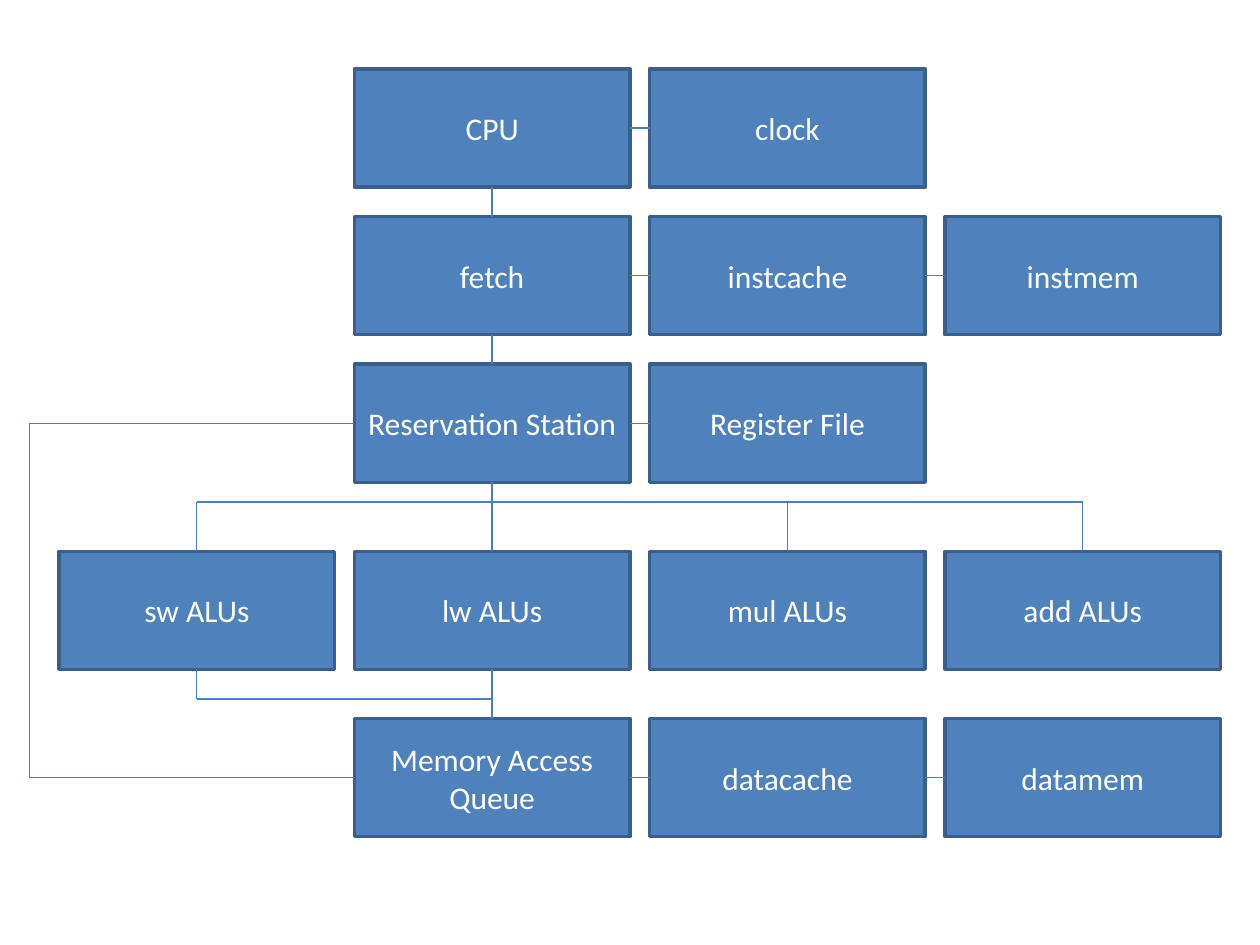
from lxml import etree
from pptx import Presentation
from pptx.dml.color import RGBColor
from pptx.enum.shapes import MSO_CONNECTOR, MSO_SHAPE
from pptx.enum.text import MSO_ANCHOR, PP_ALIGN
from pptx.oxml.ns import qn
from pptx.util import Inches, Pt

RECTANGLE = MSO_SHAPE.RECTANGLE
STRAIGHT = MSO_CONNECTOR.STRAIGHT
MIDDLE = MSO_ANCHOR.MIDDLE
CENTER = PP_ALIGN.CENTER

BLOCK_FILL = RGBColor(0x4F, 0x81, 0xBD)
BLOCK_EDGE = RGBColor(0x3A, 0x5F, 0x8C)
WIRE_COLOR = RGBColor(0x4B, 0x7E, 0xBC)
WHITE = RGBColor(0xFF, 0xFF, 0xFF)

# Each pipeline stage: top grid row, first column, units from left to right
STAGES = [
    (7, 1, ["CPU", "clock"]),
    (22, 1, ["fetch", "instcache", "instmem"]),
    (37, 1, ["Reservation Station", "Register File"]),
    (56, 0, ["sw ALUs", "lw ALUs", "mul ALUs", "add ALUs"]),
    (73, 1, ["Memory Access Queue", "datacache", "datamem"]),
]
CPU, FETCH, STATION, ALUS, QUEUE = [top for top, _, _ in STAGES]
LINKED_STAGES = (CPU, FETCH, STATION, QUEUE)

# The slide is a grid of 128 by 96 square cells
SLIDE_WIDTH, SLIDE_HEIGHT = Inches(10), Inches(7.5)
CELL = SLIDE_WIDTH / 128
LEFT, PITCH, BLOCK_W, BLOCK_H = 6, 30, 28, 12
ISSUE_BUS, MEMORY_BUS, BYPASS = 51, 71, 3

BLOCK_FONT = {"name": "Calibri", "size": Pt(18)}


def grid(*cells):
    """Turn grid cells into slide lengths."""
    return [round(cell * CELL) for cell in cells]


def block_left(column):
    """Left edge of a block column, in cells."""
    return LEFT + column * PITCH


def center(column):
    """Centre line of a block column, in cells."""
    return block_left(column) + BLOCK_W / 2


def add_wire(shapes, x1, y1, x2, y2):
    """Draw a thin straight wire between two grid points."""
    wire = shapes.add_connector(STRAIGHT, *grid(x1, y1, x2, y2))
    wire.line.color.rgb = WIRE_COLOR
    wire.line.width = Pt(0.75)
    etree.SubElement(wire._element.spPr, qn("a:effectLst"))


def add_block(shapes, label, column, top):
    """Draw one labelled hardware unit."""
    block = shapes.add_shape(
        RECTANGLE, *grid(block_left(column), top, BLOCK_W, BLOCK_H))
    block.shadow.inherit = False
    block.fill.solid()
    block.fill.fore_color.rgb = BLOCK_FILL
    block.line.color.rgb = BLOCK_EDGE
    block.line.width = Pt(2)
    frame = block.text_frame
    frame.word_wrap = True
    frame.vertical_anchor = MIDDLE
    paragraph = frame.paragraphs[0]
    paragraph.alignment = CENTER
    run = paragraph.add_run()
    run.text = label
    for attribute, value in BLOCK_FONT.items():
        setattr(run.font, attribute, value)
    run.font.color.rgb = WHITE


def wires():
    """List every wire as x1, y1, x2, y2 in cells."""
    sw, lw, mul, add = [center(column) for column in range(4)]
    routes = [
        (lw, CPU + BLOCK_H, lw, FETCH),
        (lw, FETCH + BLOCK_H, lw, STATION),
        (lw, STATION + BLOCK_H, lw, ISSUE_BUS),
        (sw, ISSUE_BUS, add, ISSUE_BUS),
        (sw, MEMORY_BUS, lw, MEMORY_BUS),
        (lw, MEMORY_BUS, lw, QUEUE),
        (BYPASS, STATION + BLOCK_H / 2, BYPASS, QUEUE + BLOCK_H / 2),
    ]
    routes += [(x, ISSUE_BUS, x, ALUS) for x in (sw, lw, mul, add)]
    routes += [(x, ALUS + BLOCK_H, x, MEMORY_BUS) for x in (sw, lw)]
    for top in (STATION, QUEUE):
        middle = top + BLOCK_H / 2
        routes.append((BYPASS, middle, block_left(1), middle))
    for top, first, units in STAGES:
        if top in LINKED_STAGES:
            middle = top + BLOCK_H / 2
            for column in range(first + 1, first + len(units)):
                right = block_left(column)
                routes.append((right - PITCH + BLOCK_W, middle, right, middle))
    return routes


deck = Presentation()
deck.slide_width, deck.slide_height = SLIDE_WIDTH, SLIDE_HEIGHT
processor = deck.slides.add_slide(deck.slide_layouts[6]).shapes

for top, first, units in STAGES:
    for column, label in enumerate(units, first):
        add_block(processor, label, column, top)
for route in wires():
    add_wire(processor, *route)

deck.save("out.pptx")
